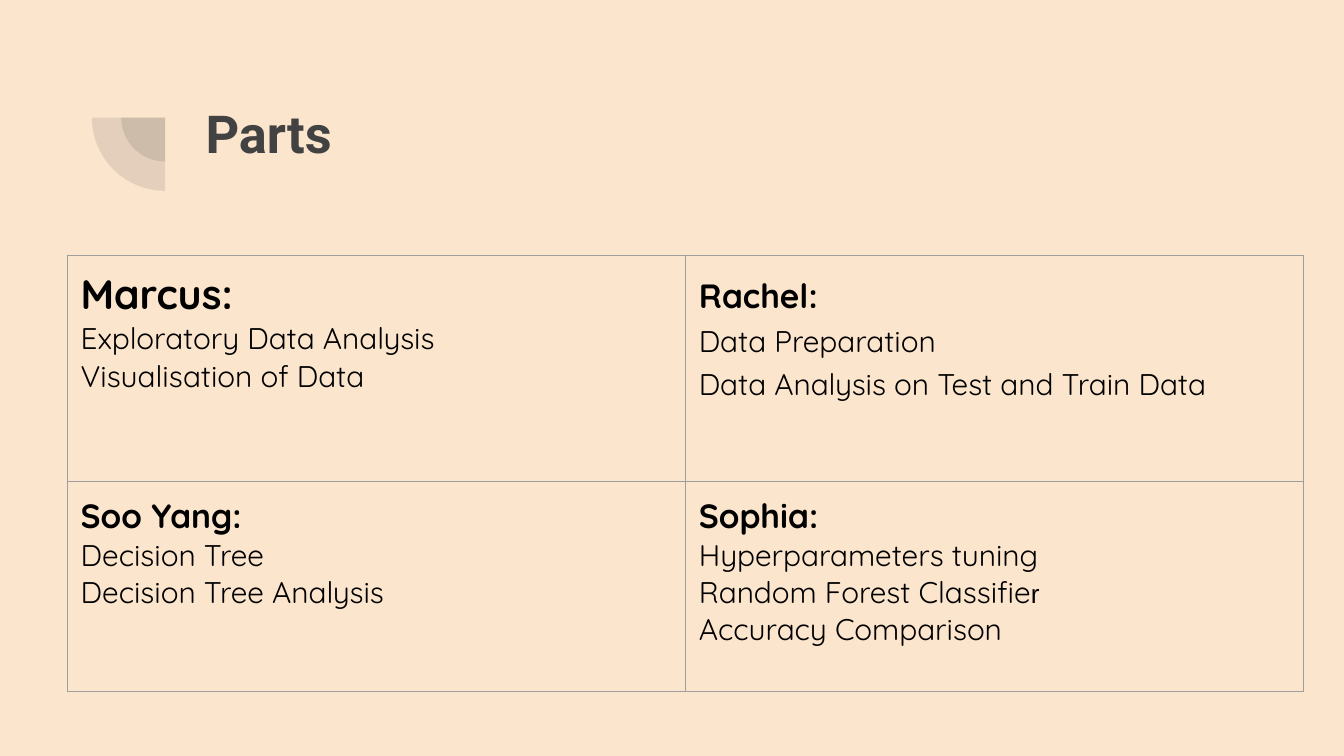
from pptx import Presentation
from pptx.dml.color import RGBColor
from pptx.enum.shapes import MSO_SHAPE
from pptx.oxml import parse_xml
from pptx.oxml.ns import nsdecls, qn
from pptx.util import Pt

CELLS = [
    [[[("Marcus:", 22), ("\nExploratory Data Analysis\nVisualisation of Data", 16)]],
     [[("Rachel:", 18), ("\nData Preparation\nData Analysis on Test and Train Data", 16)]]],
    [[[("Soo Yang:", 18)], [("Decision Tree", 16)], [("Decision Tree Analysis", 16)]],
     [[("Sophia:", 18)], [("Hyperparameters tuning", 16)],
      [("Random Forest Classifie", 16), ("r", 14, "Arial"), ("\nAccuracy Comparison", 16)]]],
]


def paint(fill, code):
    """Give a fill a solid hex colour."""
    fill.solid()
    fill.fore_color.rgb = RGBColor.from_string(code)


def inset(frame):
    """Set equal margins on a text frame or cell."""
    for side in ("left", "right", "top", "bottom"):
        setattr(frame, "margin_" + side, Pt(7.2))


def add_mark(slide, x, y, size):
    """Draw two nested quarter discs whose shared corner is at x, y."""
    for side in (size * 0.6, size):
        pie = slide.shapes.add_shape(
            MSO_SHAPE.PIE, Pt(x - side / 2), Pt(y - side / 2), Pt(side), Pt(side))
        pie.adjustments[0], pie.adjustments[1] = 108, 162
        pie.rotation = 270
        pie.shadow.inherit = False
        pie.line.fill.background()
        paint(pie.fill, "424242")
        tint = pie.fill._xPr.find(qn("a:solidFill"))[0]
        tint.append(parse_xml('<a:alpha %s val="13000"/>' % nsdecls("a")))


def add_title(slide, x, y, w, h, text):
    """Place the slide title."""
    frame = slide.shapes.add_textbox(Pt(x), Pt(y), Pt(w), Pt(h)).text_frame
    frame.word_wrap = True
    inset(frame)
    para = frame.paragraphs[0]
    para.text = text
    font = para.font
    font.name, font.size, font.bold = "Roboto", Pt(28), True
    paint(font.fill, "424242")


def add_run(para, text, size, name="Quicksand"):
    """Add styled text, turning newlines into line breaks."""
    for i, line in enumerate(text.split("\n")):
        if i:
            para.add_line_break()
        if line:
            run = para.add_run()
            run.text = line
            font = run.font
            font.name, font.size, font.bold = name, Pt(size), size > 16
            paint(font.fill, "000000")


def add_border(cell):
    """Outline a cell with thin grey lines."""
    props = cell._tc.get_or_add_tcPr()
    for i, tag in enumerate(("lnL", "lnR", "lnT", "lnB")):
        props.insert(i, parse_xml(
            '<a:%s %s w="9525"><a:solidFill><a:srgbClr val="9E9E9E"/></a:solidFill></a:%s>'
            % (tag, nsdecls("a"), tag)))


def add_grid(slide, x, y, w, rows):
    """Place the table of people and their tasks."""
    count = len(CELLS[0])
    table = slide.shapes.add_table(
        len(rows), count, Pt(x), Pt(y), Pt(w), Pt(sum(rows))).table
    table.first_row = table.horz_banding = False
    for col in table.columns:
        col.width = Pt(w / count)
    for r, high in enumerate(rows):
        table.rows[r].height = Pt(high)
        for c, paras in enumerate(CELLS[r]):
            cell = table.cell(r, c)
            cell.fill.background()
            inset(cell)
            add_border(cell)
            frame = cell.text_frame
            for i, runs in enumerate(paras):
                para = frame.add_paragraph() if i else frame.paragraphs[0]
                for run in runs:
                    add_run(para, *run)
                if len(paras) == 1:
                    para.space_after = Pt(16)
    table.cell(0, 1).text_frame.paragraphs[0].line_spacing = 1.15


def main():
    """Build and save the slide."""
    deck = Presentation()
    deck.slide_width, deck.slide_height = Pt(720), Pt(405)
    slide = deck.slides.add_slide(deck.slide_layouts[6])
    paint(slide.background.fill, "FCE5CD")
    add_mark(slide, 88.5, 63, 78.5)
    add_title(slide, 103, 46.8, 553.7, 78.5, "Parts")
    add_grid(slide, 36, 136.8, 662.4, (121, 112.5))
    deck.save("out.pptx")


main()
